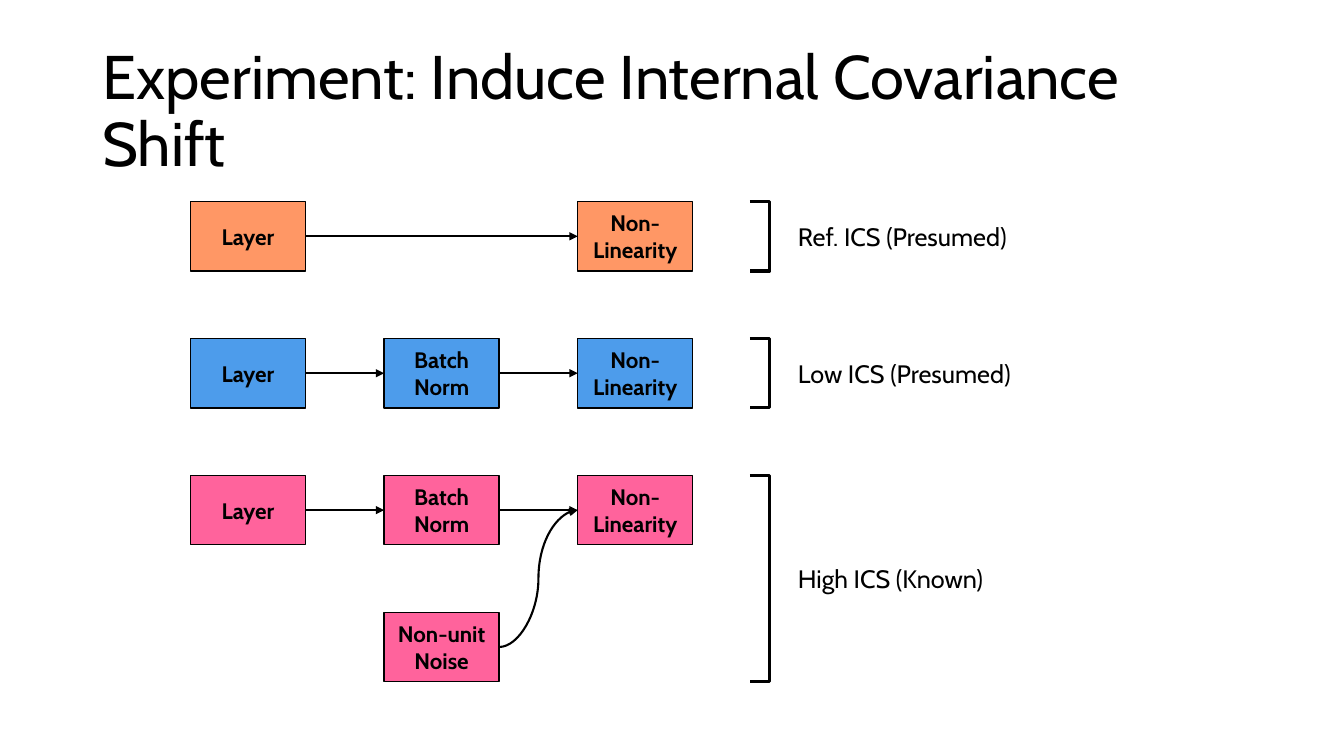
from lxml import etree
from pptx import Presentation
from pptx.dml.color import RGBColor
from pptx.enum.shapes import MSO_CONNECTOR, MSO_SHAPE
from pptx.enum.text import MSO_ANCHOR, PP_ALIGN
from pptx.oxml.ns import qn
from pptx.util import Cm, Pt

RECTANGLE, BRACKET = MSO_SHAPE.RECTANGLE, MSO_SHAPE.RIGHT_BRACKET
STRAIGHT, CURVE = MSO_CONNECTOR.STRAIGHT, MSO_CONNECTOR.CURVE
MIDDLE, CENTER, LEFT = MSO_ANCHOR.MIDDLE, PP_ALIGN.CENTER, PP_ALIGN.LEFT

FONT, BLACK = "Cabin", "000000"
ORANGE, BLUE, PINK = "FF9765", "4D9CEB", "FF639C"
LEFT_SIDE, RIGHT_SIDE = 1, 3

# Grid of the diagram, in centimetres
GRID_LEFT, GRID_TOP = 4.8, 5.08
COLUMN_STEP, ROW_STEP = 4.88, 3.45
BOX_WIDTH, BOX_HEIGHT = 2.9, 1.75
BRACKET_LEFT = 18.9

# Colour, rows spanned, and the (column, text) of each box in the main row
EXPERIMENTS = [
    (ORANGE, 1, "Ref. ICS (Presumed)", [(0, "Layer"), (2, "Non-Linearity")]),
    (BLUE, 1, "Low ICS (Presumed)",
     [(0, "Layer"), (1, "Batch Norm"), (2, "Non-Linearity")]),
    (PINK, 2, "High ICS (Known)",
     [(0, "Layer"), (1, "Batch Norm"), (2, "Non-Linearity")]),
]


def color(hex_string):
    return RGBColor.from_string(hex_string)


def set_text(box, text, size, align=LEFT, bold=False):
    frame = box.text_frame
    frame.text = text
    frame.word_wrap = True
    frame.vertical_anchor = MIDDLE
    para = frame.paragraphs[0]
    para.alignment = align
    span = para.runs[0]
    span.font.name, span.font.size, span.font.bold = FONT, Pt(size), bold
    span.font.color.rgb = color(BLACK)
    return para


def add_text(page, left, top, width, height, text, size):
    box = page.shapes.add_textbox(Cm(left), Cm(top), Cm(width), Cm(height))
    return set_text(box, text, size)


def add_outline(page, kind, left, top, width, height, line_width):
    shape = page.shapes.add_shape(kind, Cm(left), Cm(top), Cm(width), Cm(height))
    shape.shadow.inherit = False
    shape.line.color.rgb = color(BLACK)
    shape.line.width = Pt(line_width)
    return shape


def add_step(page, column, top, text, fill):
    left = GRID_LEFT + column * COLUMN_STEP
    box = add_outline(page, RECTANGLE, left, top, BOX_WIDTH, BOX_HEIGHT, 1)
    box.fill.solid()
    box.fill.fore_color.rgb = color(fill)
    set_text(box, text, 16, CENTER, True)
    return box


def add_arrow(page, source, target, kind=STRAIGHT):
    arrow = page.shapes.add_connector(kind, 0, 0, 0, 0)
    arrow.begin_connect(source, RIGHT_SIDE)
    arrow.end_connect(target, LEFT_SIDE)
    arrow.line.color.rgb = color(BLACK)
    arrow.line.width = Pt(1.5)
    etree.SubElement(arrow.line._get_or_add_ln(), qn("a:tailEnd"), type="triangle")
    etree.SubElement(arrow._element.spPr, qn("a:effectLst"))


def add_bracket(page, top, height, label):
    bracket = add_outline(page, BRACKET, BRACKET_LEFT, top, 0.5, height, 2.25)
    bracket.adjustments[0] = 0
    bracket.fill.background()
    add_text(page, BRACKET_LEFT + 0.96, top, 6.2, height, label, 18)


def add_experiment(page, top, fill, rows, label, steps):
    boxes = [add_step(page, column, top, text, fill) for column, text in steps]
    for source, target in zip(boxes, boxes[1:]):
        add_arrow(page, source, target)
    add_bracket(page, top, BOX_HEIGHT + (rows - 1) * ROW_STEP, label)
    return boxes


def add_title(page):
    para = add_text(page, 2.33, 1.01, 29.21, 3.68,
                    "Experiment: Induce Internal Covariance Shift", 44)
    para.line_spacing = 0.9


def main():
    deck = Presentation()
    deck.slide_width, deck.slide_height = Cm(33.87), Cm(19.05)
    page = deck.slides.add_slide(deck.slide_layouts[6])
    add_title(page)

    # One row per experiment
    for row, experiment in enumerate(EXPERIMENTS):
        boxes = add_experiment(page, GRID_TOP + row * ROW_STEP, *experiment)

    # Noise joins the last experiment from below
    noise = add_step(page, 1, GRID_TOP + 3 * ROW_STEP, "Non-unit Noise", PINK)
    add_arrow(page, noise, boxes[-1], CURVE)

    deck.save("out.pptx")


if __name__ == "__main__":
    main()
